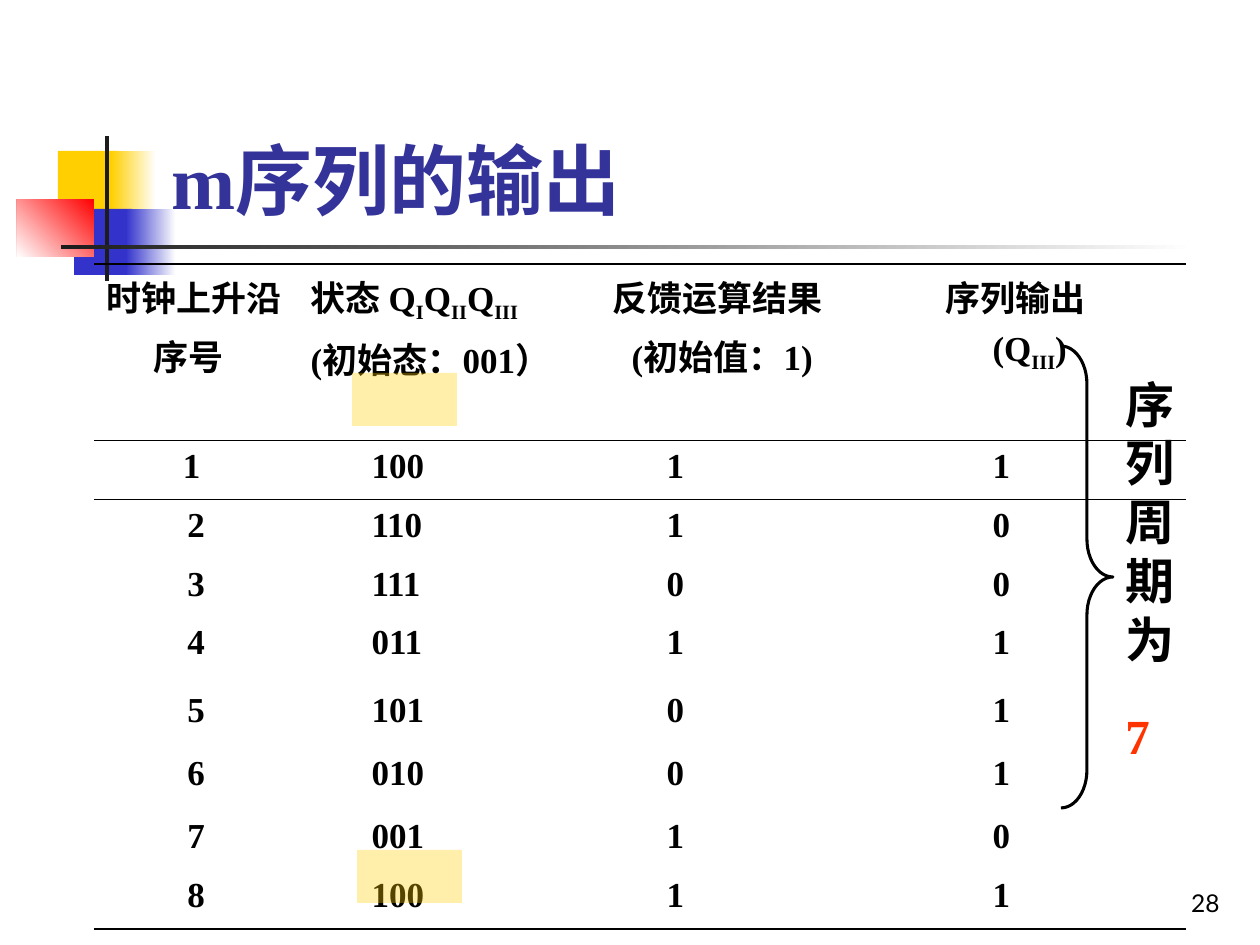
from dataclasses import dataclass

import pptx
import pptx.dml.color
import pptx.enum.shapes
import pptx.enum.text
import pptx.oxml
import pptx.oxml.ns
import pptx.util

SHAPE = pptx.enum.shapes.MSO_SHAPE
ALIGN = pptx.enum.text.PP_ALIGN
ANCHOR = pptx.enum.text.MSO_ANCHOR
AUTO_SIZE = pptx.enum.text.MSO_AUTO_SIZE
qn = pptx.oxml.ns.qn


@dataclass(frozen=True)
class Theme:
    black: str = "000000"
    white: str = "FFFFFF"
    ink: str = "1C1C1C"
    yellow: str = "FFCF01"
    blue: str = "3333CC"
    red: str = "FF0000"
    title: str = "333399"
    accent: str = "FF3300"
    serif: str = "Times New Roman"
    sans: str = "Lato"
    title_size: int = 44
    period_size: int = 28
    table_size: int = 20
    number_size: int = 14
    thick_rule: float = 1.08
    thin_rule: float = 0.45


THEME = Theme()
PX_PER_INCH = 126
NO_STYLE_NO_GRID = "{2D5ABB26-0587-4C30-8999-92F81FD0307C}"

# Each header line: left indent, font, (text, is subscript) pairs
HEADERS = [
    [(0, THEME.serif, [("时钟上升沿", False)]),
     (47, THEME.serif, [("序号", False)])],
    [(0, THEME.serif, [("状态 Q", False), ("I", True), ("Q", False),
                       ("II", True), ("Q", False), ("III", True)]),
     (0, THEME.serif, [("(初始态：001）", False)])],
    [(16, THEME.sans, [("反馈运算结果", False)]),
     (35, THEME.serif, [("(初始值：1)", False)])],
    [(23, THEME.sans, [("序列输出", False)]),
     (70, THEME.serif, [("(Q", False), ("III", True), (")", False)])],
]
STATES = [
    ("1 ", "100", "1", "1"),
    ("2", "110", "1", "0"),
    ("3", "111", "0", "0"),
    ("4", "011", "1", "1"),
    ("5", "101", "0", "1"),
    ("6", "010", "0", "1"),
    ("7", "001", "1", "0"),
    ("8", "100", "1", "1"),
]
STATE_INDENTS = (0, 61, 70, 70)
COLUMN_WIDTHS = (204, 286, 326, 276)
ROW_HEIGHTS = (154, 59, 59, 58, 68, 63, 63, 59, 59)


def px(length):
    return pptx.util.Emu(round(length * 914400 / PX_PER_INCH))


def rgb(color):
    return pptx.dml.color.RGBColor.from_string(color)


def add_span(para, text, size, color=THEME.black, font=THEME.serif, bold=True, subscript=False):
    span = para.add_run()
    span.text = text
    span.font.size = pptx.util.Pt(size)
    span.font.name = font
    span.font.bold = bold
    span.font.color.rgb = rgb(color)
    if subscript:
        span.font._element.set("baseline", "-25000")


def add_block(page, box, color, alpha=None):
    block = page.shapes.add_shape(SHAPE.RECTANGLE, *map(px, box))
    block.shadow.inherit = False
    block.line.fill.background()
    block.fill.solid()
    block.fill.fore_color.rgb = rgb(color)
    if alpha is not None:
        tint = next(block.element.spPr.iter(qn("a:srgbClr")))
        pptx.oxml.ns  # namespace map used by qn
        tint.append(pptx.oxml.parse_xml(
            f'<a:alpha {pptx.oxml.ns.nsdecls("a")} val="{alpha * 1000}"/>'))
    return block


def add_fade(page, box, start, end, angle):
    """Rectangle with a two-colour gradient; angle runs counter-clockwise."""
    block = add_block(page, box, start)
    block.fill.gradient()
    block.fill.gradient_angle = angle
    for stop, color in zip(block.fill.gradient_stops, (start, end)):
        stop.color.rgb = rgb(color)


def add_decoration(page):
    add_block(page, (58, 151, 60, 66), THEME.yellow)
    add_fade(page, (111, 151, 45, 66), THEME.white, THEME.yellow, 180)
    add_block(page, (74, 209, 58, 66), THEME.blue)
    add_fade(page, (126, 209, 50, 66), THEME.white, THEME.blue, 180)
    add_fade(page, (17, 199, 77, 58), THEME.red, THEME.white, 225)
    add_block(page, (105, 136, 4, 145), THEME.ink)
    add_fade(page, (61, 245, 1134, 4), THEME.white, THEME.ink, 180)


def set_title(page, text):
    title = page.shapes.title
    title.left, title.top, title.width, title.height = map(px, (159, 29, 1073, 202))
    frame = title.text_frame
    frame.auto_size = AUTO_SIZE.NONE
    frame.vertical_anchor = ANCHOR.BOTTOM
    para = frame.paragraphs[0]
    para.alignment = ALIGN.LEFT
    add_span(para, text, THEME.title_size, THEME.title)


def add_box(page, box):
    area = page.shapes.add_textbox(*map(px, box))
    area.text_frame.word_wrap = True
    return area.text_frame


def set_rules(cell, **widths):
    """Draw horizontal cell borders: T for top, B for bottom, in points."""
    properties = cell._tc.get_or_add_tcPr()
    for place, (side, width) in enumerate(widths.items()):
        properties.insert(place, pptx.oxml.parse_xml(
            f'<a:ln{side} {pptx.oxml.ns.nsdecls("a")} w="{pptx.util.Pt(width)}">'
            f'<a:solidFill><a:srgbClr val="{THEME.black}"/></a:solidFill></a:ln{side}>'))


def fill_cell(cell, lines, alignment=ALIGN.LEFT):
    cell.fill.background()
    frame = cell.text_frame
    for number, (indent, font, spans) in enumerate(lines):
        para = frame.add_paragraph() if number else frame.paragraphs[0]
        para.alignment = alignment
        if number:
            para.space_before = pptx.util.Pt(5)
        if indent:
            properties = para._p.get_or_add_pPr()
            properties.set("marL", str(px(indent)))
            properties.set("indent", "0")
        for text, subscript in spans:
            add_span(para, text, THEME.table_size, font=font, subscript=subscript)


def add_state_table(page):
    holder = page.shapes.add_table(
        len(ROW_HEIGHTS), len(COLUMN_WIDTHS), px(94), px(264),
        px(sum(COLUMN_WIDTHS)), px(sum(ROW_HEIGHTS)))
    next(holder.element.iter(qn("a:tableStyleId"))).text = NO_STYLE_NO_GRID
    table = holder.table
    table.first_row = table.horz_banding = False
    for column, width in zip(table.columns, COLUMN_WIDTHS):
        column.width = px(width)
    for row, height in zip(table.rows, ROW_HEIGHTS):
        row.height = px(height)
    for index, lines in enumerate(HEADERS):
        fill_cell(table.cell(0, index), lines)
        set_rules(table.cell(0, index), T=THEME.thick_rule, B=THEME.thin_rule)
        for number, state in enumerate(STATES, 1):
            fill_cell(table.cell(number, index),
                      [(STATE_INDENTS[index], THEME.serif, [(state[index], False)])],
                      ALIGN.LEFT if index else ALIGN.CENTER)
        set_rules(table.cell(1, index), T=THEME.thin_rule)
        set_rules(table.cell(len(STATES), index), B=THEME.thick_rule)


def add_period_note(page):
    brace = page.shapes.add_shape(SHAPE.RIGHT_BRACE, *map(px, (1061, 346, 52, 462)))
    brace.shadow.inherit = False
    brace.adjustments[0] = 0.73
    brace.fill.background()
    brace.line.color.rgb = rgb(THEME.black)
    brace.line.width = pptx.util.Pt(1.75)
    frame = add_box(page, (1113, 368, 63, 403))
    add_span(frame.paragraphs[0], "序列周期为", THEME.period_size)
    period = frame.add_paragraph()
    period.space_before = pptx.util.Pt(21)
    add_span(period, "7", THEME.period_size, THEME.accent)


def add_page_number(page, number):
    frame = add_box(page, (970, 861, 262, 63))
    frame.vertical_anchor = ANCHOR.BOTTOM
    para = frame.paragraphs[0]
    para.alignment = ALIGN.RIGHT
    add_span(para, number, THEME.number_size, font=THEME.sans, bold=False)


def main():
    deck = pptx.Presentation()
    deck.slide_width, deck.slide_height = px(1260), px(945)
    page = deck.slides.add_slide(deck.slide_layouts.get_by_name("Title Only"))
    add_decoration(page)
    set_title(page, "m序列的输出")
    add_state_table(page)
    for left, top in ((352, 373), (357, 850)):
        add_block(page, (left, top, 105, 53), THEME.yellow, alpha=33)
    add_period_note(page)
    add_page_number(page, "28")
    deck.save("out.pptx")


if __name__ == "__main__":
    main()
